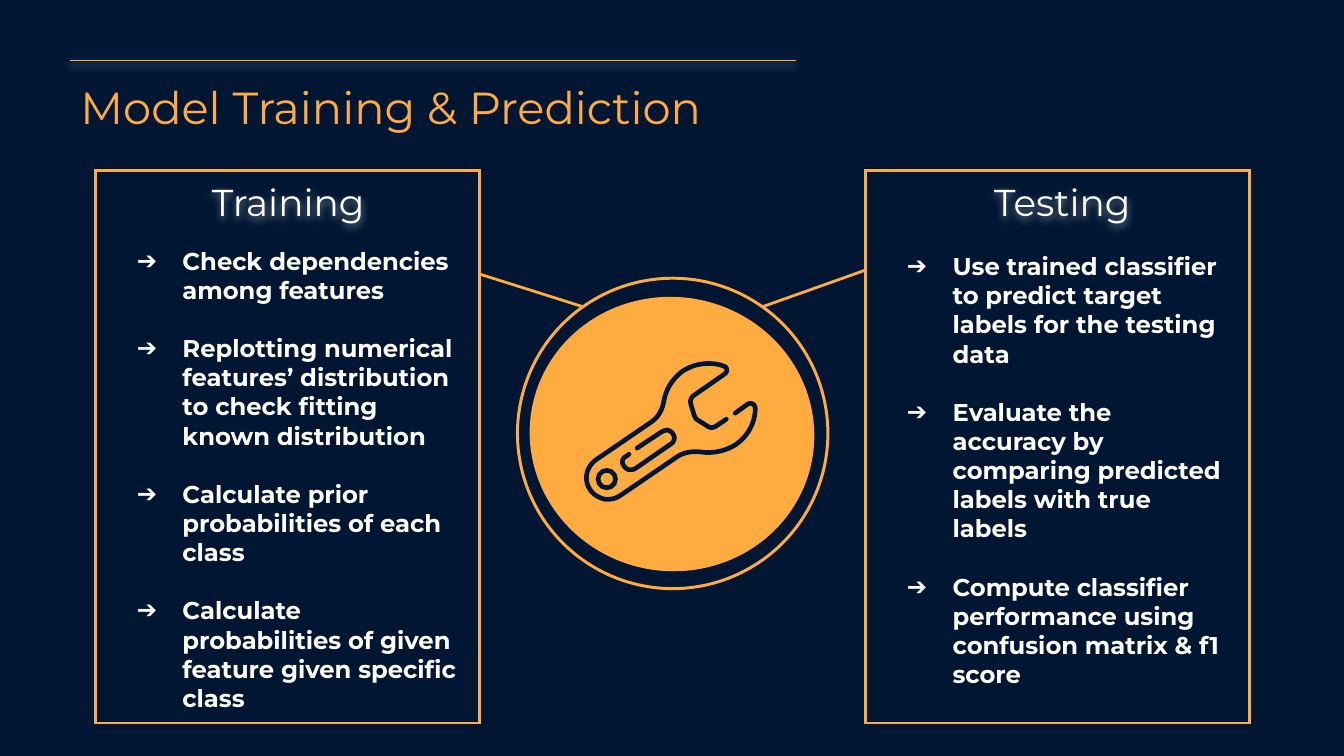
from typing import NamedTuple

from lxml.etree import SubElement
from pptx import Presentation
from pptx.dml.color import RGBColor
from pptx.enum.shapes import MSO_CONNECTOR, MSO_SHAPE
from pptx.enum.text import MSO_ANCHOR, PP_ALIGN
from pptx.oxml.ns import qn
from pptx.util import Inches, Pt

NAVY = RGBColor(0x00, 0x16, 0x33)
ORANGE = RGBColor(0xFF, 0xAB, 0x40)
WHITE = RGBColor(0xFF, 0xFF, 0xFF)
FONT = "Montserrat"
STROKE = 2.5
CURVE_STEPS = 10


class Panel(NamedTuple):
    heading: str
    left: float
    heading_left: float
    list_left: float
    list_top: float
    points: list[str]


class Link(NamedTuple):
    start: tuple[float, float]
    end: tuple[float, float]


PANELS = [
    Panel("Training", 0.71, 1.07, 0.76, 1.73, [
        "Check dependencies among features",
        "Replotting numerical features’ distribution to check fitting known distribution",
        "Calculate prior probabilities of each class",
        "Calculate probabilities of given feature given specific class",
    ]),
    Panel("Testing", 6.44, 6.83, 6.49, 1.77, [
        "Use trained classifier to predict target labels for the testing data",
        "Evaluate the accuracy by comparing predicted labels with true labels",
        "Compute classifier performance using confusion matrix & f1 score",
    ]),
]
LINKS = [Link((3.57, 2.04), (4.33, 2.28)), Link((6.44, 2.01), (5.68, 2.28))]

# Icon strokes in hundredths of an inch: a pair is a line, six numbers a Bézier curve
WRENCH = [
    (547, 307.5), (556, 301),
    (559, 299, 562, 301, 562, 304), (562, 314, 557, 324, 548, 330.5),
    (540.5, 335.5, 531.5, 337.5, 522.5, 336.5), (515, 335.5, 508.5, 336.5, 503, 340.5),
    (462, 368.5),
    (458.5, 371, 454, 372, 450, 371.5), (446, 370.5, 442, 368.5, 439.5, 365),
    (434, 357.5, 436, 348, 443, 342.5),
    (484, 314.5),
    (489.5, 311, 493, 305, 494, 298.5), (495.5, 289.5, 500.5, 282, 507.5, 276.5),
    (515, 271.5, 524, 269.5, 533.5, 271), (535, 271.5, 536.5, 271.5, 538.5, 272.5),
    (541.5, 273, 541.5, 277, 539, 278.5),
    (516, 294.5), (514, 296.5, 513.5, 298, 514, 300.5),
    (516.5, 309), (517, 310, 517.5, 311.5, 519, 312.5),
    (527, 317.5), (528, 318, 530, 319, 533, 317), (540.5, 312),
]
HANDLE_SLOT = [
    (474, 333.5), (492, 321.5),
    (494, 320.5, 495.5, 320, 496.5, 320), (498, 320.5, 499.5, 321, 500.5, 322.5),
    (502.5, 325, 502, 329, 499, 330.5),
    (473, 348.5),
    (471.5, 349.5, 470, 349.5, 468.5, 349.5), (467, 349.5, 465.5, 348.5, 464.5, 347),
    (462, 344, 463, 341, 466, 339.5),
    (468, 338),
]


def add_glow(shape) -> None:
    """Give a shape a soft white shadow just below it."""
    effects = SubElement(shape._element.spPr, qn("a:effectLst"))
    shadow = SubElement(effects, qn("a:outerShdw"), blurRad=str(Pt(4.5)),
                        dist=str(Pt(1.5)), dir="5400000", algn="bl", rotWithShape="0")
    color = SubElement(shadow, qn("a:srgbClr"), val=str(WHITE))
    SubElement(color, qn("a:alpha"), val="50000")


def add_bullet(paragraph) -> None:
    properties = paragraph._p.get_or_add_pPr()
    properties.set("marL", str(Inches(0.5)))
    properties.set("indent", str(Inches(-0.34)))
    color = SubElement(properties, qn("a:buClr"))
    SubElement(color, qn("a:srgbClr"), val=str(WHITE))
    SubElement(properties, qn("a:buFont"), typeface=FONT)
    SubElement(properties, qn("a:buChar"), char="➔")


def add_text(slide, lines: list[str], left: float, top: float, width: float, height: float, *,
             size: float, color: RGBColor = WHITE, bold: bool = False, bullets: bool = False,
             align=PP_ALIGN.LEFT, anchor=MSO_ANCHOR.TOP, gap: float = 0, glow: bool = False) -> None:
    box = slide.shapes.add_textbox(Inches(left), Inches(top), Inches(width), Inches(height))
    frame = box.text_frame
    frame.word_wrap = True
    frame.vertical_anchor = anchor
    frame.margin_left = frame.margin_right = Inches(0.1)
    frame.margin_top = frame.margin_bottom = Inches(0.1)
    for index, line in enumerate(lines):
        paragraph = frame.paragraphs[0] if index == 0 else frame.add_paragraph()
        paragraph.alignment = align
        paragraph.space_after = Pt(gap)
        if bullets:
            add_bullet(paragraph)
        run = paragraph.add_run()
        run.text = line
        run.font.name = FONT
        run.font.size = Pt(size)
        run.font.bold = bold
        run.font.color.rgb = color
    if glow:
        add_glow(box)


def add_line(slide, link: Link, width: float, glow: bool = False) -> None:
    points = [Inches(value) for value in (*link.start, *link.end)]
    line = slide.shapes.add_connector(MSO_CONNECTOR.STRAIGHT, *points)
    line.line.color.rgb = ORANGE
    line.line.width = Pt(width)
    if glow:
        add_glow(line)
    else:
        SubElement(line._element.spPr, qn("a:effectLst"))


def style_outline(shape, color: RGBColor, width: float) -> None:
    shape.shadow.inherit = False
    shape.fill.background()
    shape.line.color.rgb = color
    shape.line.width = Pt(width)


def add_outline(slide, kind, left: float, top: float, width: float, height: float,
                color: RGBColor = ORANGE, line_width: float = 1.6) -> None:
    shape = slide.shapes.add_shape(kind, Inches(left), Inches(top), Inches(width), Inches(height))
    style_outline(shape, color, line_width)
    SubElement(shape.line._get_or_add_ln(), qn("a:miter"), lim="800000")


def curve_points(start: tuple, curve: tuple) -> list[tuple]:
    """Points along a cubic Bézier curve, without its start."""
    controls = [start, curve[:2], curve[2:4], curve[4:]]
    points = []
    for step in range(1, CURVE_STEPS + 1):
        t = step / CURVE_STEPS
        weights = ((1 - t) ** 3, 3 * t * (1 - t) ** 2, 3 * t * t * (1 - t), t ** 3)
        points.append(tuple(sum(w * c[axis] for w, c in zip(weights, controls)) for axis in (0, 1)))
    return points


def add_stroke(slide, segments: list[tuple]) -> None:
    points = [segments[0]]
    for segment in segments[1:]:
        points += [segment] if len(segment) == 2 else curve_points(points[-1], segment)
    places = [(Inches(x / 100), Inches(y / 100)) for x, y in points]
    builder = slide.shapes.build_freeform(*places[0])
    builder.add_line_segments(places[1:], close=False)
    stroke = builder.convert_to_shape()
    style_outline(stroke, NAVY, STROKE)
    stroke.line._get_or_add_ln().set("cap", "rnd")


def main() -> None:
    presentation = Presentation()
    presentation.slide_width = Inches(10)
    presentation.slide_height = Inches(10 * 9 / 16)
    slide = presentation.slides.add_slide(presentation.slide_layouts[6])
    slide.background.fill.solid()
    slide.background.fill.fore_color.rgb = NAVY

    # Title and the rule above it
    add_line(slide, Link((0.52, 0.45), (5.92, 0.45)), 0.75, glow=True)
    add_text(slide, ["Model Training & Prediction"], 0.5, 0.49, 8.75, 0.52, size=24, color=ORANGE)

    # Central disc with its wrench
    disc = slide.shapes.add_shape(MSO_SHAPE.OVAL, Inches(3.94), Inches(2.21), Inches(2.12), Inches(2.04))
    disc.rotation = 9.2
    disc.shadow.inherit = False
    disc.fill.solid()
    disc.fill.fore_color.rgb = ORANGE
    disc.line.fill.background()
    add_stroke(slide, WRENCH)
    add_stroke(slide, HANDLE_SLOT)
    add_outline(slide, MSO_SHAPE.OVAL, 4.45, 3.5, 0.13, 0.13, NAVY, STROKE)

    # Ring and its links to the panels
    add_outline(slide, MSO_SHAPE.OVAL, 3.85, 2.07, 2.31, 2.31)
    for link in LINKS:
        add_line(slide, link, 1.5)

    # Training and testing panels
    for panel in PANELS:
        add_outline(slide, MSO_SHAPE.RECTANGLE, panel.left, 1.27, 2.86, 4.11)
        add_text(slide, [panel.heading], panel.heading_left, 1.17, 2.15, 0.6, size=20,
                 align=PP_ALIGN.CENTER, anchor=MSO_ANCHOR.BOTTOM, glow=True)
        add_text(slide, panel.points, panel.list_left, panel.list_top, 2.76, 3.92, size=13,
                 bold=True, bullets=True, gap=15.6)

    presentation.save("out.pptx")


if __name__ == "__main__":
    main()
